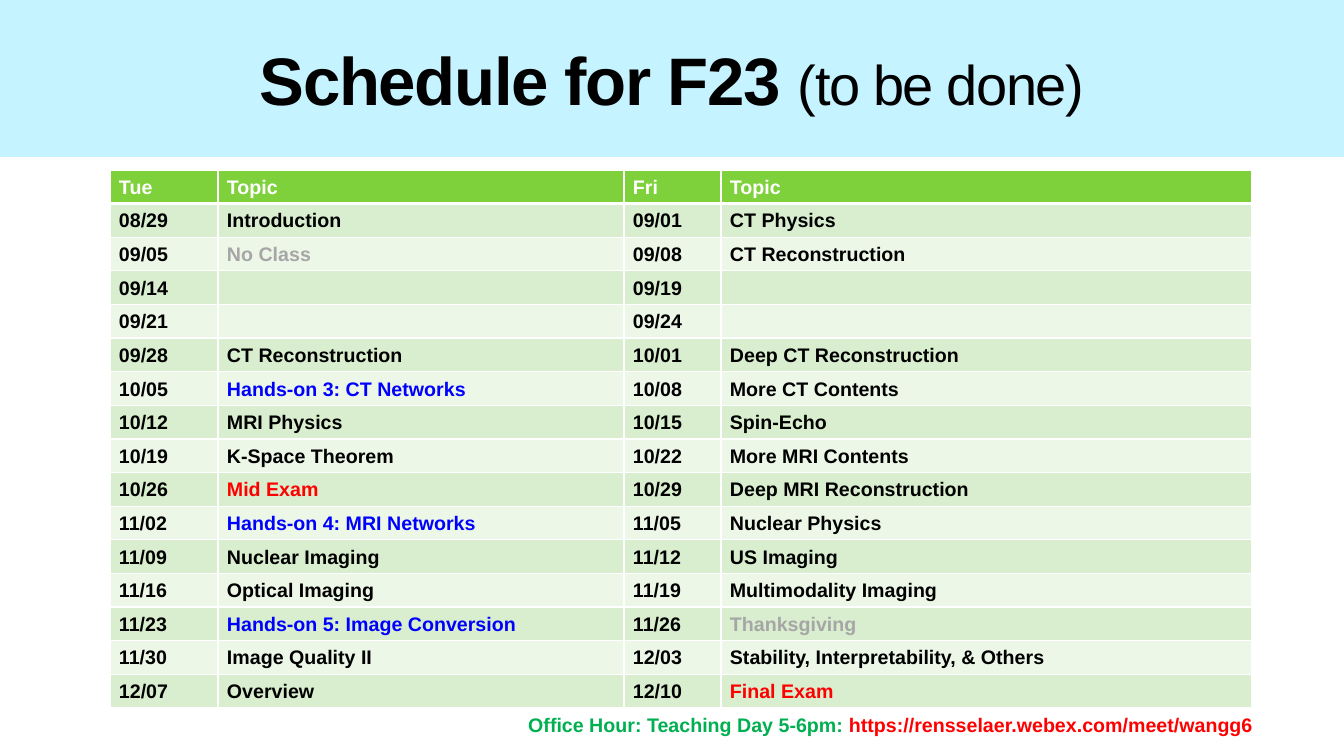
from lxml.etree import SubElement
from pptx import Presentation
from pptx.dml.color import RGBColor as Rgb
from pptx.enum.shapes import MSO_SHAPE as Shape
from pptx.enum.text import MSO_ANCHOR as Anchor, PP_ALIGN as Align
from pptx.oxml.ns import qn
from pptx.util import Pt

INK = {
    "black": "000000", "white": "FFFFFF", "sky": "C5F3FF", "head": "7FD13B",
    "band": "D8EECE", "pale": "ECF7E8", "gray": "A6A6A6", "blue": "0000FF",
    "red": "FF0000", "green": "00B050",
}
TITLE = [("Schedule for F23 ", 48, True), ("(to be done)", 40, False)]
OFFICE = [
    ("Office Hour: Teaching Day 5-6pm: ", "green"),
    ("https://rensselaer.webex.com/meet/wangg6", "red"),
]
ROWS = [
    ("Tue", "Topic", "Fri", "Topic"),
    ("08/29", "Introduction", "09/01", "CT Physics"),
    ("09/05", "No Class", "09/08", "CT Reconstruction"),
    ("09/14", "", "09/19", ""),
    ("09/21", "", "09/24", ""),
    ("09/28", "CT Reconstruction", "10/01", "Deep CT Reconstruction"),
    ("10/05", "Hands-on 3: CT Networks", "10/08", "More CT Contents"),
    ("10/12", "MRI Physics", "10/15", "Spin-Echo"),
    ("10/19", "K-Space Theorem", "10/22", "More MRI Contents"),
    ("10/26", "Mid Exam", "10/29", "Deep MRI Reconstruction"),
    ("11/02", "Hands-on 4: MRI Networks", "11/05", "Nuclear Physics"),
    ("11/09", "Nuclear Imaging", "11/12", "US Imaging"),
    ("11/16", "Optical Imaging", "11/19", "Multimodality Imaging"),
    ("11/23", "Hands-on 5: Image Conversion", "11/26", "Thanksgiving"),
    ("11/30", "Image Quality II", "12/03", "Stability, Interpretability, & Others"),
    ("12/07", "Overview", "12/10", "Final Exam"),
]
TONES = {
    "No Class": "gray", "Thanksgiving": "gray", "Hands-on": "blue",
    "Mid Exam": "red", "Final Exam": "red",
}
COLS = [108, 406, 97, 531]
WIDE, HIGH = 1344, 756
LEFT, TOP, TALL = 110, 170, 538


def px(count):
    return round(count * 914400 / 100.8)


def color(name):
    return Rgb.from_string(INK[name])


def write(para, text, size, tone, bold=True):
    run = para.add_run()
    run.text = text
    font = run.font
    font.name, font.size, font.bold = "Arial", Pt(size), bold
    font.color.rgb = color(tone)
    return run


def border(cell, row):
    props = cell._tc.get_or_add_tcPr()
    thick = {"lnT": row == 1, "lnB": row == 0}
    for side in ("lnL", "lnR", "lnT", "lnB"):
        width = Pt(3 if thick.get(side) else 1)
        line = SubElement(props, qn("a:" + side), w=str(width))
        fill = SubElement(line, qn("a:solidFill"))
        SubElement(fill, qn("a:srgbClr"), val=INK["white"])


def tone_of(text, row):
    if row == 0:
        return "white"
    return next((tone for key, tone in TONES.items() if text.startswith(key)), "black")


def fill_cell(cell, text, row):
    border(cell, row)
    cell.fill.solid()
    cell.fill.fore_color.rgb = color("head" if row == 0 else "band" if row % 2 else "pale")
    cell.margin_left = cell.margin_right = px(9)
    cell.margin_top = cell.margin_bottom = px(4)
    cell.vertical_anchor = Anchor.MIDDLE
    para = cell.text_frame.paragraphs[0]
    para.line_spacing = 1.07
    if text:
        write(para, text, 14, tone_of(text, row))
    else:
        SubElement(para._p, qn("a:endParaRPr"), sz="1400")


def add_title(slide):
    bar = slide.shapes.add_shape(Shape.RECTANGLE, 0, 0, px(WIDE), px(157))
    bar.shadow.inherit = False
    bar.fill.solid()
    bar.fill.fore_color.rgb = color("sky")
    bar.line.fill.background()
    frame = bar.text_frame
    frame.vertical_anchor = Anchor.MIDDLE
    para = frame.paragraphs[0]
    para.alignment = Align.CENTER
    for text, size, bold in TITLE:
        run = write(para, text, size, "black", bold)
        run.font._element.set("spc", "-100")


def add_plan(slide):
    frame = slide.shapes.add_table(
        len(ROWS), len(COLS), px(LEFT), px(TOP), px(sum(COLS)), px(TALL))
    table = frame.table
    table.horz_banding = False
    for col, width in zip(table.columns, COLS):
        col.width = px(width)
    for row, texts in enumerate(ROWS):
        table.rows[row].height = px(TALL / len(ROWS))
        for col, text in enumerate(texts):
            fill_cell(table.cell(row, col), text, row)


def add_office(slide):
    box = slide.shapes.add_textbox(px(121), px(708), px(1142), px(34))
    box.text_frame.word_wrap = True
    para = box.text_frame.paragraphs[0]
    para.alignment = Align.RIGHT
    for text, tone in OFFICE:
        write(para, text, 14, tone)


def main():
    deck = Presentation()
    deck.slide_width, deck.slide_height = px(WIDE), px(HIGH)
    slide = deck.slides.add_slide(deck.slide_layouts[6])
    add_title(slide)
    add_plan(slide)
    add_office(slide)
    deck.save("out.pptx")


if __name__ == "__main__":
    main()
